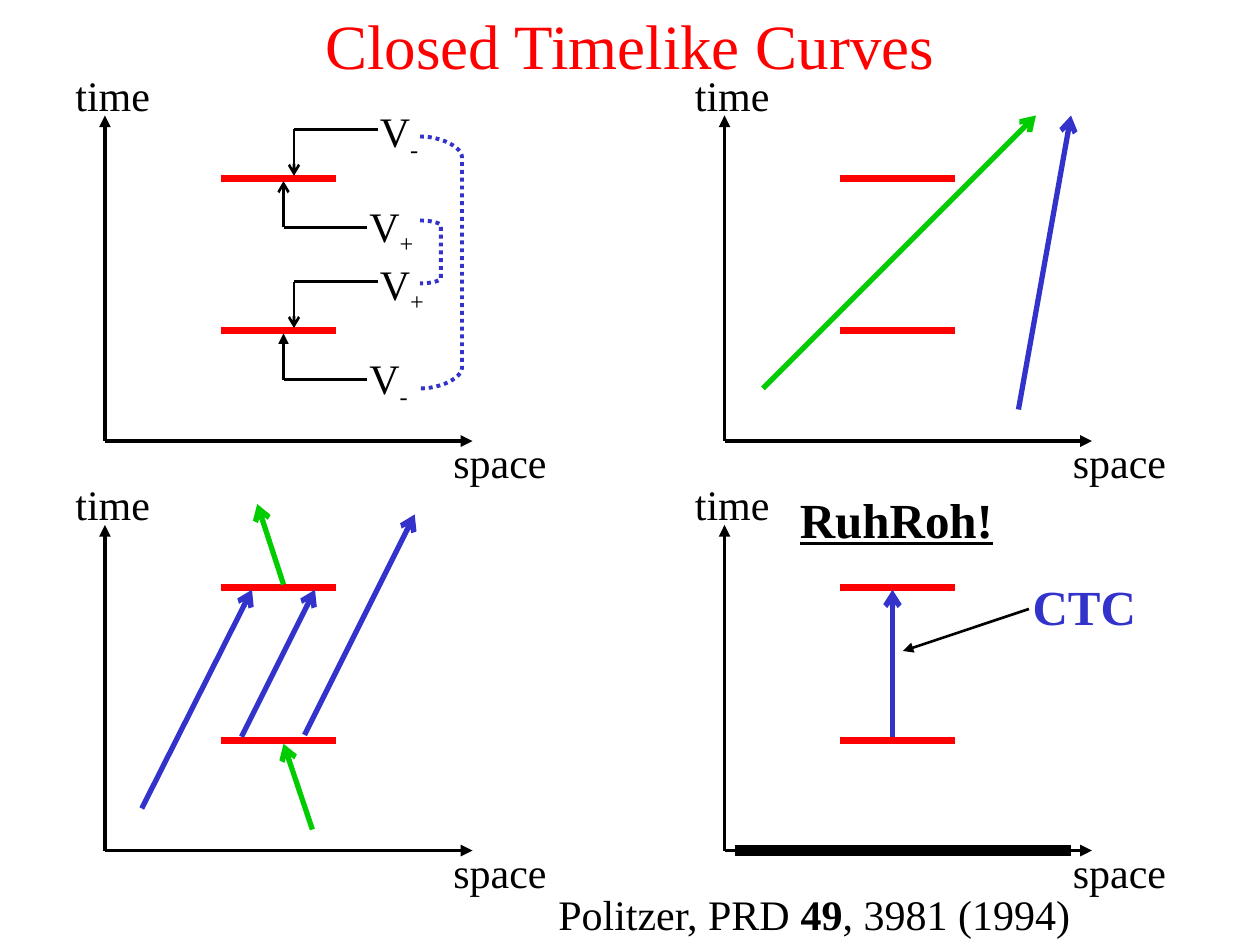
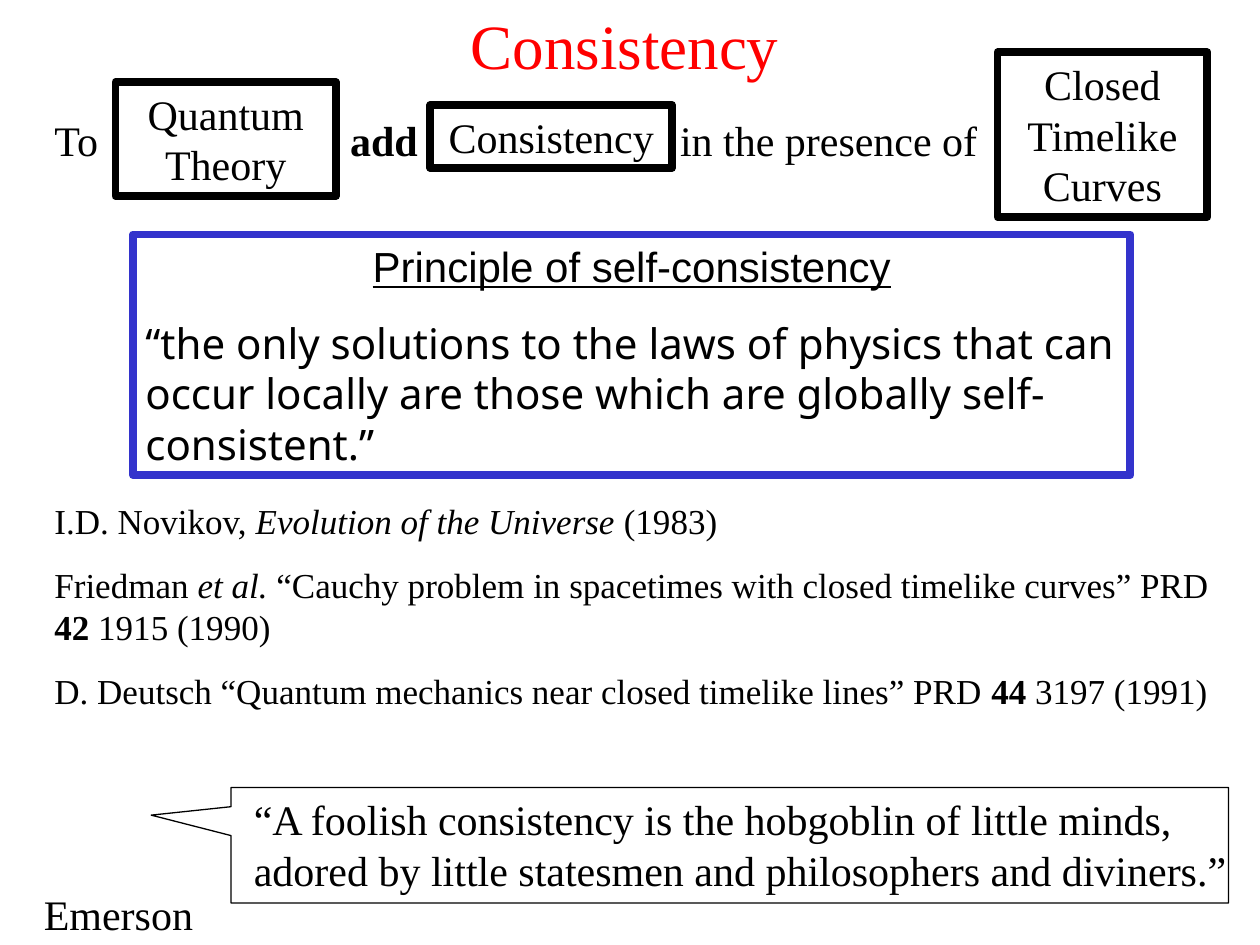
import dataclasses
import itertools
from typing import Optional

import lxml.etree
import pptx
import pptx.dml.color
import pptx.enum.dml
import pptx.enum.shapes
import pptx.enum.text
import pptx.oxml.ns
import pptx.shapes.base
import pptx.slide
import pptx.text.text
import pptx.util

COLOURS = {
    "black": "000000",
    "white": "FFFFFF",
    "red": "FF0000",
    "blue": "3333CC",
    "green": "00CC00",
}
SERIF = "Times New Roman"
BODY_SIZE = 24
PANEL_LEFTS = (60, 414)
PANEL_FLOORS = (252, 486)
BAR_HEIGHTS = (150, 63)  # above the space axis


@dataclasses.dataclass(frozen=True)
class Span:
    text: str
    bold: Optional[bool] = None
    italic: Optional[bool] = None
    subscript: bool = False


@dataclasses.dataclass(frozen=True)
class Para:
    spans: tuple[Span, ...]
    size: float = BODY_SIZE
    font: str = SERIF
    colour: str = "black"
    bold: bool = False
    underline: bool = False
    centred: bool = False
    space_before: float = 0
    tabs: tuple[float, ...] = ()


@dataclasses.dataclass(frozen=True)
class Area:
    left: float
    top: float
    width: float
    height: float

    def lengths(self) -> list[pptx.util.Length]:
        return [pptx.util.Pt(value) for value in dataclasses.astuple(self)]


@dataclasses.dataclass(frozen=True)
class Stroke:
    start: tuple[float, float]
    end: tuple[float, float]
    colour: str = "black"
    width: float = 3
    head: Optional[str] = None


def plain(text: str, **style) -> Para:
    return Para((Span(text),), **style)


def rgb(name: str) -> pptx.dml.color.RGBColor:
    return pptx.dml.color.RGBColor.from_string(COLOURS[name])


def sub_element(parent, tag: str, **attributes: str):
    return lxml.etree.SubElement(parent, pptx.oxml.ns.qn(tag), attributes)


def write(frame: pptx.text.text.TextFrame, paras: tuple[Para, ...]) -> None:
    frame.word_wrap = True
    frame.vertical_anchor = pptx.enum.text.MSO_ANCHOR.TOP
    align = pptx.enum.text.PP_ALIGN
    for index, para in enumerate(paras):
        paragraph = frame.add_paragraph() if index else frame.paragraphs[0]
        paragraph.alignment = align.CENTER if para.centred else align.LEFT
        paragraph.space_before = pptx.util.Pt(para.space_before)
        if para.tabs:
            stops = sub_element(paragraph._p.get_or_add_pPr(), "a:tabLst")
            for stop in para.tabs:
                sub_element(stops, "a:tab", pos=str(pptx.util.Pt(stop)), algn="l")
        font = paragraph.font
        font.name, font.size = para.font, pptx.util.Pt(para.size)
        font.bold, font.underline = para.bold, para.underline
        font.color.rgb = rgb(para.colour)
        for span in para.spans:
            run = paragraph.add_run()
            run.text = span.text
            run.font.bold, run.font.italic = span.bold, span.italic
            if span.subscript:
                run._r.get_or_add_rPr().set("baseline", "-25000")


def add_text(page: pptx.slide.Slide, area: Area, *paras: Para) -> None:
    write(page.shapes.add_textbox(*area.lengths()).text_frame, paras)


def add_title(page: pptx.slide.Slide, text: str, left: float) -> None:
    title = plain(text, size=36, colour="red", centred=True)
    add_text(page, Area(left, 0, 528, 50), title)


def outline(shape, colour: str, width: float) -> None:
    shape.shadow.inherit = False
    shape.line.color.rgb = rgb(colour)
    shape.line.width = pptx.util.Pt(width)


def add_frame(page: pptx.slide.Slide, area: Area, colour: str, *paras: Para) -> None:
    """Draw an unfilled, heavily outlined rectangle holding text."""
    kind = pptx.enum.shapes.MSO_SHAPE.RECTANGLE
    shape = page.shapes.add_shape(kind, *area.lengths())
    shape.fill.background()
    outline(shape, colour, 4.5)
    write(shape.text_frame, paras)


def add_stroke(page: pptx.slide.Slide, stroke: Stroke) -> None:
    ends = [pptx.util.Pt(value) for value in stroke.start + stroke.end]
    straight = pptx.enum.shapes.MSO_CONNECTOR.STRAIGHT
    connector = page.shapes.add_connector(straight, *ends)
    connector.line.color.rgb = rgb(stroke.colour)
    connector.line.width = pptx.util.Pt(stroke.width)
    properties = connector._element.spPr
    if stroke.head:
        line = properties.find(pptx.oxml.ns.qn("a:ln"))
        sub_element(line, "a:tailEnd", type=stroke.head)
    sub_element(properties, "a:effectLst")


def add_bracket(
    page: pptx.slide.Slide, top: float, bottom: float, width: float, corner: float
) -> None:
    """Draw a dotted bracket, open to the left, with curved corners."""
    left, steps = 240, 12
    curve = []
    for step in range(steps + 1):
        t = step / steps
        across = 1.5 * t * (1 - t) ** 2 + 3 * t**2 * (1 - t) + t**3
        down = 1.5 * t**2 * (1 - t) + t**3
        curve.append((left + width * across, corner * down))
    points = [(x, top + y) for x, y in curve]
    points += [(x, bottom - y) for x, y in reversed(curve)]
    corners = [(pptx.util.Pt(x), pptx.util.Pt(y)) for x, y in points]
    builder = page.shapes.build_freeform(*corners[0])
    builder.add_line_segments(corners[1:], close=False)
    shape = builder.convert_to_shape()
    shape.fill.background()
    outline(shape, "blue", 2.25)
    shape.line.dash_style = pptx.enum.dml.MSO_LINE.ROUND_DOT


def add_panel(page: pptx.slide.Slide, left: float, floor: float) -> None:
    """Draw a time and space diagram with its two red bars."""
    origin = (left, floor)
    for tip in ((left, floor - 186), (left + 210, floor)):
        add_stroke(page, Stroke(origin, tip, width=2.25, head="triangle"))
    for height in BAR_HEIGHTS:
        y = floor - height
        add_stroke(page, Stroke((left + 66, y), (left + 132, y), "red", 4))
    add_text(page, Area(left - 24, floor - 216, 96, 36), plain("time"))
    add_text(page, Area(left + 192, floor - 6, 72, 36), plain("space"))


def add_potential(
    page: pptx.slide.Slide, bar: float, above: bool, sign: str, head: str
) -> None:
    """Label one side of a bar with V and an elbow arrow to the bar."""
    side = -1 if above else 1
    elbow_x = 168 if above else 162
    elbow_y = bar + side * 28
    label_left = elbow_x + 42
    label_top = bar + (-45 if above else 9)
    label = Para((Span("V"), Span(sign, subscript=True)))
    add_text(page, Area(label_left, label_top, 54, 40), label)
    elbow = (elbow_x, elbow_y)
    add_stroke(page, Stroke((elbow_x + 48, elbow_y), elbow, width=1.5))
    add_stroke(page, Stroke(elbow, (elbow_x, bar + side * 1.5), width=1.5, head=head))


def build_curves(page: pptx.slide.Slide) -> None:
    add_title(page, "Closed Timelike Curves", 96)
    for floor, left in itertools.product(PANEL_FLOORS, PANEL_LEFTS):
        add_panel(page, left, floor)

    upper_bar, lower_bar = (PANEL_FLOORS[0] - height for height in BAR_HEIGHTS)
    add_potential(page, upper_bar, True, "-", "arrow")
    add_potential(page, upper_bar, False, "+", "arrow")
    add_potential(page, lower_bar, True, "+", "arrow")
    add_potential(page, lower_bar, False, "-", "triangle")
    add_bracket(page, 126, 162, width=12, corner=3)
    add_bracket(page, 78, 222, width=24, corner=12)

    world_lines = (
        ("blue", (582, 234), (612, 66)),
        ("green", (436, 222), (592, 66)),
        ("blue", (81, 462), (144, 337)),
        ("blue", (138, 421), (180, 337)),
        ("blue", (174, 420), (237, 294)),
        ("green", (178.5, 474), (162, 425)),
        ("green", (162, 334), (147, 288)),
        ("blue", (510, 421), (510, 337)),
    )
    for colour, start, end in world_lines:
        add_stroke(page, Stroke(start, end, colour, head="arrow"))
    add_stroke(page, Stroke((420, 486), (612, 486), width=6))

    alarm = plain("RuhRoh!", size=28, bold=True, underline=True)
    add_text(page, Area(450, 276, 140, 40), alarm)
    add_text(page, Area(583, 326, 90, 40), plain("CTC", size=28, bold=True, colour="blue"))
    add_stroke(page, Stroke((588, 348), (516, 372), width=1.5, head="triangle"))
    citation = Para((Span("Politzer, PRD "), Span("49", bold=True), Span(", 3981 (1994)")))
    add_text(page, Area(312, 504, 324, 36), citation)


def build_consistency(page: pptx.slide.Slide) -> None:
    kind = pptx.enum.shapes.MSO_SHAPE.RECTANGULAR_CALLOUT
    callout = page.shapes.add_shape(kind, *Area(132, 450, 570, 66).lengths())
    callout.adjustments[0], callout.adjustments[1] = -0.58, -0.26
    callout.fill.solid()
    callout.fill.fore_color.rgb = rgb("white")
    outline(callout, "black", 0.75)

    add_title(page, "Consistency", 93)
    sentence = Para(
        (Span("To\t"), Span("add", bold=True), Span("\tin the presence of")),
        tabs=(169, 357.5),
    )
    add_text(page, Area(24, 62, 642, 36), sentence)
    ideas = (
        ("Quantum Theory", Area(66, 47, 126, 65)),
        ("Consistency", Area(246, 60, 138, 36)),
        ("Closed Timelike Curves", Area(570, 30, 120, 94)),
    )
    for idea, area in ideas:
        add_frame(page, area, "black", plain(idea, centred=True))

    principle = (
        plain("Principle of self-consistency", font="Arial", underline=True, centred=True),
        plain(
            "“the only solutions to the laws of physics that can occur locally "
            "are those which are globally self-consistent.”",
            font="Noto Sans",
            space_before=15,
        ),
    )
    add_frame(page, Area(76, 134, 570, 137.5), "blue", *principle)

    references = (
        (
            Span("I.D. Novikov, "),
            Span("Evolution of the Universe", italic=True),
            Span(" (1983)"),
        ),
        (
            Span("Friedman "),
            Span("et al.", italic=True),
            Span(" “Cauchy problem in spacetimes with closed timelike curves” PRD "),
            Span("42", bold=True),
            Span(" 1915 (1990)"),
        ),
        (
            Span("D. Deutsch “Quantum mechanics near closed timelike lines” PRD "),
            Span("44", bold=True),
            Span(" 3197 (1991)"),
        ),
    )
    paras = [
        Para(spans, size=20, space_before=12.5 if index else 0)
        for index, spans in enumerate(references)
    ]
    add_text(page, Area(24, 282, 684, 128), *paras)

    quote = (
        "“A foolish consistency is the hobgoblin of little minds, "
        "adored by little statesmen and philosophers and diviners.”"
    )
    add_text(page, Area(138, 450, 576, 65), plain(quote))
    add_text(page, Area(18, 504, 108, 36), plain("Emerson"))


def main() -> None:
    deck = pptx.Presentation()
    deck.slide_width, deck.slide_height = pptx.util.Pt(720), pptx.util.Pt(540)
    blank = deck.slide_layouts[6]
    for build in (build_curves, build_consistency):
        build(deck.slides.add_slide(blank))
    deck.save("out.pptx")


if __name__ == "__main__":
    main()
